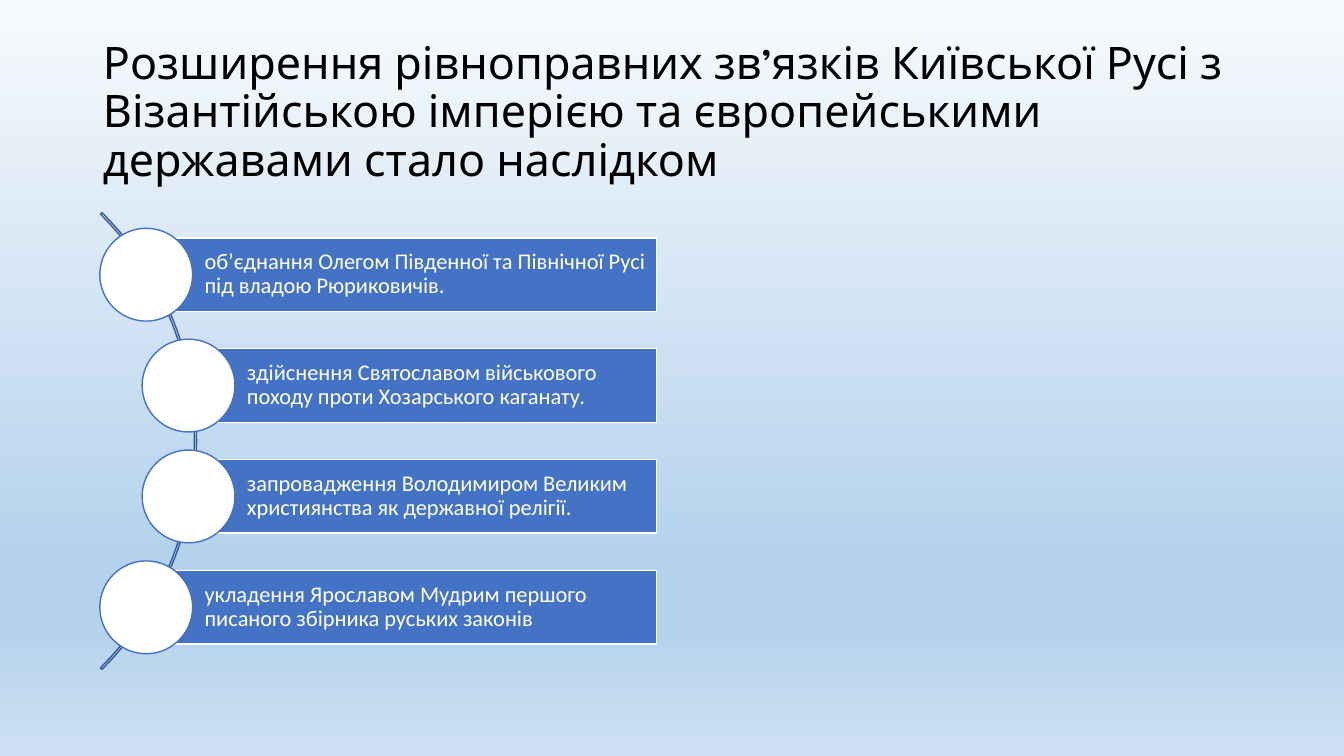
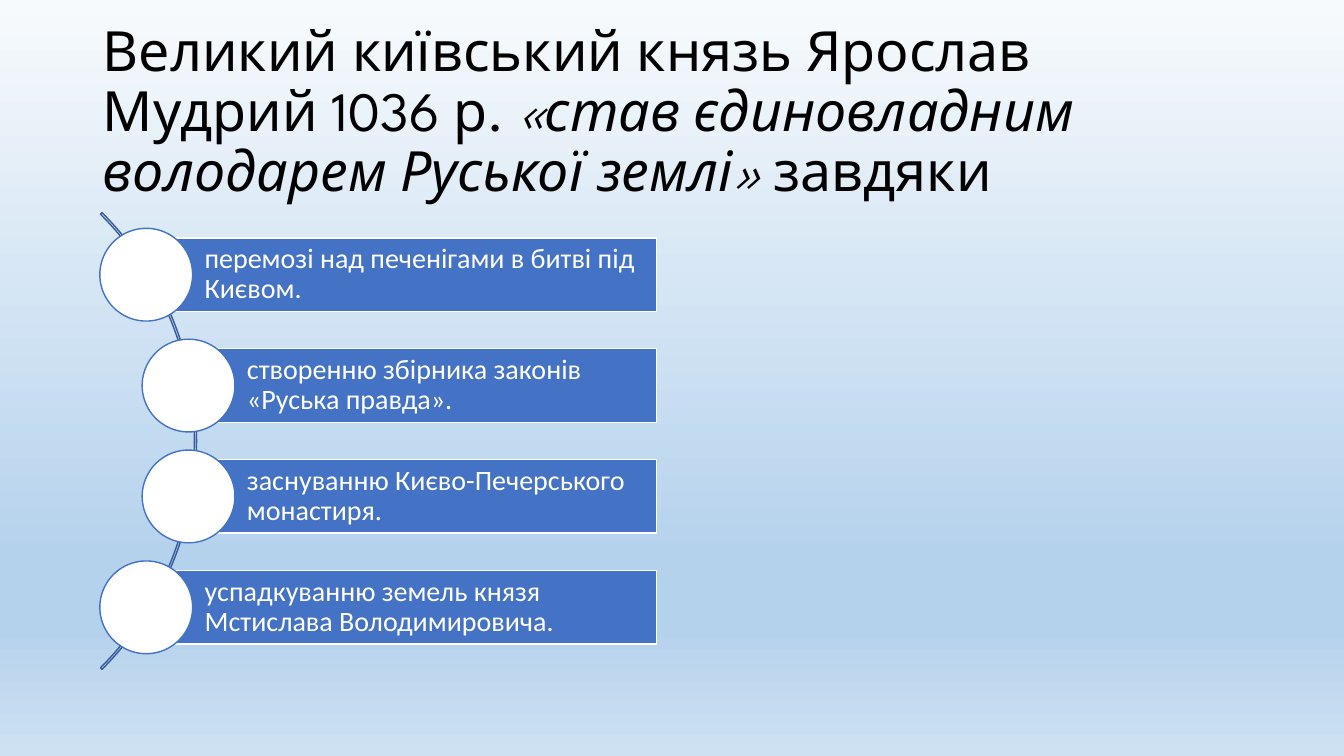
from copy import deepcopy
from dataclasses import dataclass

from pptx import Presentation
from pptx import util as u
from pptx.dml.color import RGBColor
from pptx.enum import shapes, text
from pptx.oxml.ns import qn

# Shared look
BLACK, WHITE, BLUE, NAVY = "000000", "FFFFFF", "4472C4", "365B9D"
SKY = [(0, "F7FAFD"), (74, "B5D2EC"), (83, "B5D2EC"), (100, "CEE1F2")]
HEAD, BODY = "League Spartan", "Calibri"

# Layout of the list, in inches
LEFTS = (1.45, 1.87, 1.87, 1.45)
TOP, STEP, RIGHT, HIGH = 2.36, 1.1, 6.51, 0.73
DOT = 0.92


@dataclass
class Run:
    text: str
    italic: bool = False


@dataclass
class Page:
    title: list[Run]
    size: float
    items: list[str]
    item_size: float
    inset: float


PAGES = [
    Page(
        [Run("Розширення рівноправних зв’язків Київської Русі з Візантійською "
             "імперією та європейськими державами стало наслідком")],
        32,
        ["об’єднання Олегом Південної та Північної Русі під владою Рюриковичів.",
         "здійснення Святославом військового походу проти Хозарського каганату.",
         "запровадження Володимиром Великим християнства як державної релігії.",
         "укладення Ярославом Мудрим першого писаного збірника руських законів"],
        16, 0.04),
    Page(
        [Run("Великий київський князь Ярослав Мудрий 1036 р. "),
         Run("«став єдиновладним володарем Руської землі» ", True),
         Run("завдяки")],
        39.6,
        ["перемозі над печенігами в битві під Києвом.",
         "створенню збірника законів «Руська правда».",
         "заснуванню Києво-Печерського монастиря.",
         "успадкуванню земель князя Мстислава Володимировича."],
        20, 0.06),
]


def color(code: str) -> RGBColor:
    return RGBColor.from_string(code)


def style(font, name: str, size: float, code: str) -> None:
    font.name, font.size = name, u.Pt(size)
    font.color.rgb = color(code)


def place(shape, x: float, y: float, w: float, h: float) -> None:
    shape.left, shape.top = u.Inches(x), u.Inches(y)
    shape.width, shape.height = u.Inches(w), u.Inches(h)


def paint_sky(master) -> None:
    """Give the master a four-stop vertical gradient."""
    fill = master.background.fill
    fill.gradient()
    fill.gradient_angle = 270
    stops = next(master.element.cSld.iter(qn("a:gsLst")))
    for _ in SKY[2:]:
        stops.append(deepcopy(stops[0]))
    for stop, (spot, code) in zip(fill.gradient_stops, SKY):
        stop.position = spot / 100
        stop.color.rgb = color(code)


def add_part(slide, kind, x: float, y: float, w: float, h: float,
             line: str, fill: str | None = None):
    part = slide.shapes.add_shape(
        kind, u.Inches(x), u.Inches(y), u.Inches(w), u.Inches(h))
    part.shadow.inherit = False
    if fill:
        part.fill.solid()
        part.fill.fore_color.rgb = color(fill)
    else:
        part.fill.background()
    part.line.color.rgb = color(line)
    part.line.width = u.Pt(1)
    return part


def set_title(slide, page: Page) -> None:
    title = slide.shapes.title
    place(title, 0.92, 0.4, 11.5, 1.45)
    frame = title.text_frame
    frame.auto_size = text.MSO_AUTO_SIZE.NONE
    frame.vertical_anchor = text.MSO_ANCHOR.MIDDLE
    para = frame.paragraphs[0]
    para.alignment, para.line_spacing = text.PP_ALIGN.LEFT, 0.9
    for item in page.title:
        run = para.add_run()
        run.text = item.text
        style(run.font, HEAD, page.size, BLACK)
        run.font.italic = item.italic


def add_bar(slide, x: float, y: float, words: str, page: Page) -> None:
    bar = add_part(slide, shapes.MSO_SHAPE.RECTANGLE,
                   x, y, RIGHT - x, HIGH, WHITE, BLUE)
    frame = bar.text_frame
    frame.text = words
    frame.word_wrap = True
    frame.vertical_anchor = text.MSO_ANCHOR.MIDDLE
    frame.margin_left = u.Inches(0.58)
    frame.margin_top = frame.margin_right = frame.margin_bottom = u.Inches(page.inset)
    para = frame.paragraphs[0]
    para.alignment, para.line_spacing = text.PP_ALIGN.LEFT, 0.9
    style(para.runs[0].font, BODY, page.item_size, WHITE)


def add_list(slide, page: Page) -> None:
    # Thin arc behind the bars
    arc = add_part(slide, shapes.MSO_SHAPE.BLOCK_ARC, -4.46, 1.17, 6.41, 6.41, NAVY)
    for i, value in enumerate((189, 27, 0.0034)):
        arc.adjustments[i] = value
    # Bars, each with a circle centred on its left edge
    for i, (x, words) in enumerate(zip(LEFTS, page.items)):
        y = TOP + i * STEP
        add_bar(slide, x, y, words, page)
        add_part(slide, shapes.MSO_SHAPE.OVAL, x - DOT / 2,
                 y + (HIGH - DOT) / 2, DOT, DOT, BLUE, WHITE)


def main() -> None:
    prs = Presentation()
    prs.slide_width, prs.slide_height = u.Inches(13.33), u.Inches(7.5)
    paint_sky(prs.slide_master)
    for page in PAGES:
        slide = prs.slides.add_slide(prs.slide_layouts[5])
        set_title(slide, page)
        add_list(slide, page)
    prs.save("out.pptx")


if __name__ == "__main__":
    main()
